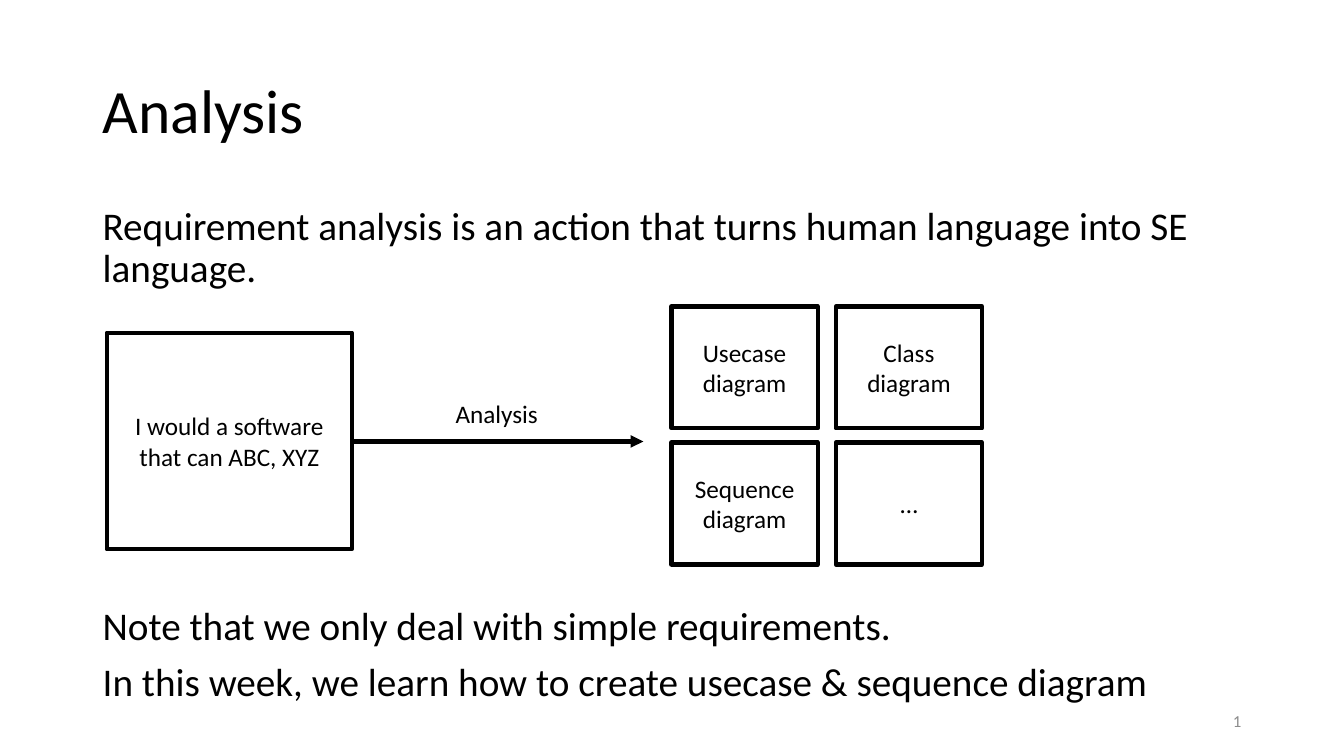
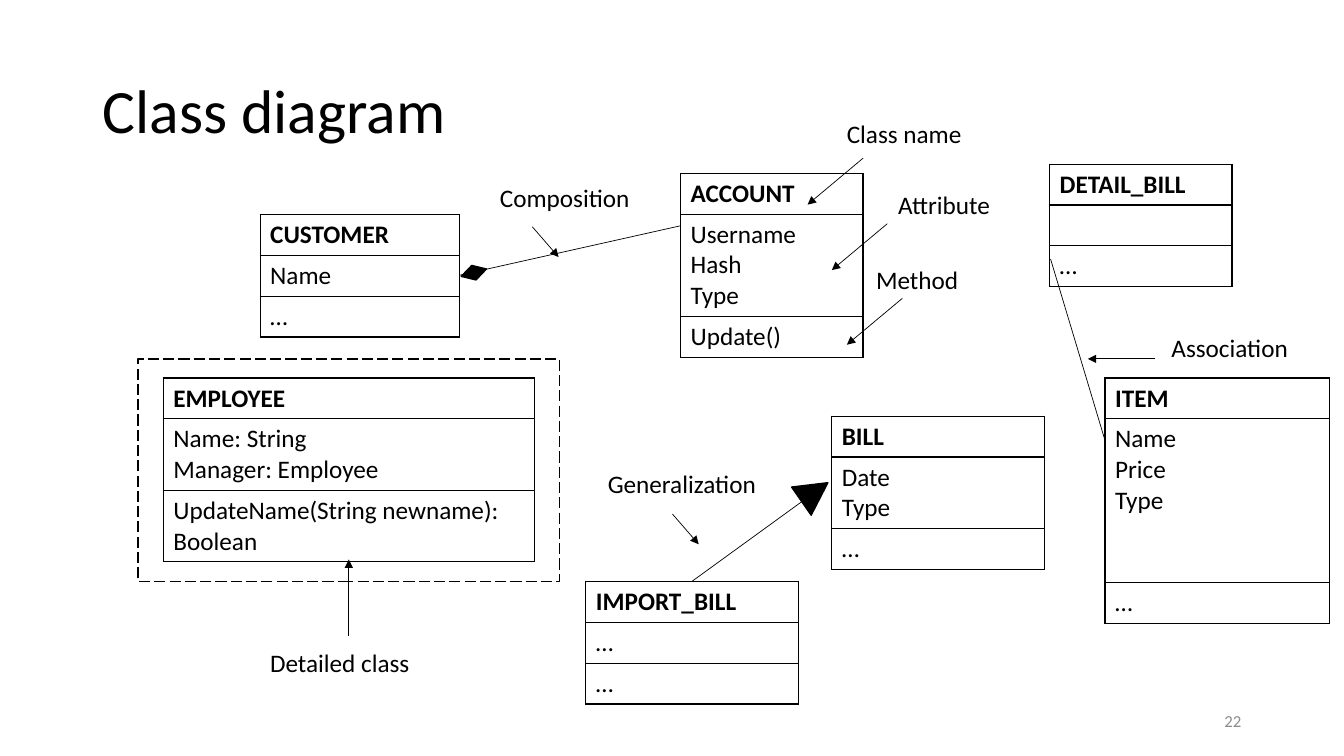
import pptx
import pptx.util
import pptx.dml.color
import pptx.enum.dml
import pptx.enum.shapes
import pptx.enum.text
import pptx.oxml.ns
from dataclasses import dataclass
from lxml import etree

Inches, Pt = pptx.util.Inches, pptx.util.Pt
qn = pptx.oxml.ns.qn
Shape = pptx.enum.shapes.MSO_SHAPE
Align = pptx.enum.text.PP_ALIGN
Anchor = pptx.enum.text.MSO_ANCHOR


@dataclass(frozen=True)
class Theme:
    font: str = "Calibri"
    ink: str = "000000"
    pale: str = "8C8C8C"
    title: int = 44
    body: int = 28
    label: int = 18
    foot: int = 12
    thick: float = 3
    edge: float = 1
    hair: float = 0.5
    tight: float = 0.9
    gap: int = 10


THEME = Theme()
WIDE, HIGH = 13.33, 7.5
MARGIN = 0.92
SPAN = WIDE - 2 * MARGIN
LINE, PAD = 0.305, 0.1  # height of a label line, cell padding

# Slide 1: texts as (top, height, lines)
BODY = [
    (2, 1.11, ["Requirement analysis is an action that turns human language into SE language."]),
    (5.97, 1.35, ["Note that we only deal with simple requirements.",
                  "In this week, we learn how to create usecase & sequence diagram"]),
]
WISH = ("I would a software that can ABC, XYZ", (1.06, 3.3, 2.43, 2.15))
STEP = ("Analysis", (4.42, 3.9, 1.87, 0.4))
FLOW = ((3.49, 4.38), (6.38, 4.38))
GRID = [["Usecase diagram", "Class diagram"], ["Sequence diagram", "…"]]
CELL = dict(left=6.66, top=3.04, wide=1.45, high=1.21, across=1.63, down=1.35)

# Slide 2: classes as (left, top, width, name, attributes, methods, line counts)
CLASSES = [
    (2.58, 2.13, 1.98, "CUSTOMER", ["Name"], ["…"], (1, 1, 1)),
    (1.62, 3.75, 3.68, "EMPLOYEE", ["Name: String", "Manager: Employee"],
     ["UpdateName(String newname): Boolean"], (1, 2, 2)),
    (6.75, 1.72, 1.81, "ACCOUNT", ["Username", "Hash", "Type"], ["Update()"], (1, 3, 1)),
    (8.25, 4.13, 2.11, "BILL", ["Date", "Type"], ["…"], (1, 2, 1)),
    (10.41, 1.63, 1.81, "DETAIL_BILL", [""], ["…"], (1, 1, 1)),
    (10.96, 3.75, 2.23, "ITEM", ["Name", "Price", "Type"], ["…"], (1, 5, 1)),
    (5.81, 5.77, 2.11, "IMPORT_BILL", ["…"], ["…"], (1, 1, 1)),
]
LINKS = [
    ((6.75, 2.24), (4.56, 2.73)),
    ((10.42, 2.57), (10.96, 4.37)),
    ((8.21, 4.79), (6.86, 5.77)),
]
# Notes as (text, left, top, width, arrow start, arrow reach)
LEFT, RIGHT = (-0.55, 0.46), (0.26, 0.3)
NOTES = [
    ("Class name", 8.3, 1.12, 1.49, (8.56, 1.57), LEFT),
    ("Attribute", 8.81, 1.83, 1.49, (8.8, 2.22), LEFT),
    ("Method", 8.59, 2.57, 1.31, (8.95, 2.96), LEFT),
    ("Composition", 4.86, 1.76, 1.49, (5.28, 2.25), RIGHT),
    ("Generalization", 5.93, 4.6, 1.81, (6.67, 5.1), RIGHT),
    ("Association", 11.52, 3.25, 1.49, (11.46, 3.56), (-0.67, 0)),
    ("Detailed class", 2.58, 6.37, 1.81, (3.46, 6.31), (0, -0.76)),
]
# Link ends as (preset, box, turn)
ENDS = [
    (Shape.ISOSCELES_TRIANGLE, (7.91, 4.72, 0.34, 0.32), 55.2),
    (Shape.FLOWCHART_DECISION, (4.57, 2.63, 0.26, 0.15), 343.7),
]
FRAME = (1.37, 3.56, 4.18, 2.21)


def rgb(tone):
    return pptx.dml.color.RGBColor.from_string(tone)


def inch(nums):
    return [Inches(num) for num in nums]


def write(frame, lines, size, tone=THEME.ink, bold=False, align=Align.LEFT,
          tight=None, gap=0):
    for pos, line in enumerate(lines):
        para = frame.add_paragraph() if pos else frame.paragraphs[0]
        para.text = line
        para.alignment = align
        if tight:
            para.line_spacing = tight
        if pos and gap:
            para.space_before = Pt(gap)
        font = para.font
        font.name, font.size, font.bold = THEME.font, Pt(size), bold
        font.color.rgb = rgb(tone)


def add_text(slide, box, lines, size, anchor=Anchor.TOP, **style):
    frame = slide.shapes.add_textbox(*inch(box)).text_frame
    frame.word_wrap = True
    frame.vertical_anchor = anchor
    write(frame, lines, size, **style)


def add_line(slide, start, end, width, arrow=False):
    line = slide.shapes.add_connector(
        pptx.enum.shapes.MSO_CONNECTOR.STRAIGHT, *inch(start + end))
    line.line.color.rgb = rgb(THEME.ink)
    line.line.width = Pt(width)
    props = line._element.spPr
    if arrow:
        etree.SubElement(props.find(qn("a:ln")), qn("a:tailEnd"), type="triangle")
    etree.SubElement(props, qn("a:effectLst"))


def add_box(slide, kind, box, width, solid=False):
    shape = slide.shapes.add_shape(kind, *inch(box))
    shape.shadow.inherit = False
    shape.line.color.rgb = rgb(THEME.ink)
    shape.line.width = Pt(width)
    if solid:
        shape.fill.solid()
        shape.fill.fore_color.rgb = rgb(THEME.ink)
    else:
        shape.fill.background()
    return shape


def add_card(slide, text, box):
    frame = add_box(slide, Shape.RECTANGLE, box, THEME.thick).text_frame
    frame.word_wrap = True
    frame.vertical_anchor = Anchor.MIDDLE
    write(frame, [text], THEME.label, align=Align.CENTER)


def rule(cell):
    """Draw all four borders of a cell."""
    props = cell._tc.get_or_add_tcPr()
    for pos, side in enumerate(("a:lnL", "a:lnR", "a:lnT", "a:lnB")):
        edge = etree.Element(qn(side), w=str(Pt(THEME.edge)))
        fill = etree.SubElement(edge, qn("a:solidFill"))
        etree.SubElement(fill, qn("a:srgbClr"), val=THEME.ink)
        props.insert(pos, edge)


def add_class(slide, left, top, wide, name, attrs, calls, counts):
    highs = [PAD + LINE * count for count in counts]
    table = slide.shapes.add_table(3, 1, *inch((left, top, wide, sum(highs)))).table
    table.first_row = table.horz_banding = False
    for row, (lines, high) in enumerate(zip(([name], attrs, calls), highs)):
        table.rows[row].height = Inches(high)
        cell = table.cell(row, 0)
        cell.fill.background()
        rule(cell)
        write(cell.text_frame, lines, THEME.label, bold=row == 0)


def add_slide(deck, title, number):
    slide = deck.slides.add_slide(deck.slide_layouts[5])
    head = slide.shapes.title
    head.left, head.top, head.width, head.height = inch((MARGIN, 0.4, SPAN, 1.45))
    head.text_frame.vertical_anchor = Anchor.MIDDLE
    write(head.text_frame, [title], THEME.title, tight=THEME.tight)
    add_text(slide, (WIDE - MARGIN - 3, 6.95, 3, 0.4), [number], THEME.foot,
             anchor=Anchor.MIDDLE, tone=THEME.pale, align=Align.RIGHT)
    return slide


def draw_steps(slide):
    for top, high, lines in BODY:
        add_text(slide, (MARGIN, top, SPAN, high), lines, THEME.body,
                 tight=THEME.tight, gap=THEME.gap)
    add_card(slide, *WISH)
    add_line(slide, *FLOW, THEME.thick, arrow=True)
    for row, names in enumerate(GRID):
        for col, name in enumerate(names):
            add_card(slide, name, (CELL["left"] + col * CELL["across"],
                                   CELL["top"] + row * CELL["down"],
                                   CELL["wide"], CELL["high"]))
    text, box = STEP
    add_text(slide, box, [text], THEME.label)


def draw_classes(slide):
    for item in CLASSES:
        add_class(slide, *item)
    for start, end in LINKS:
        add_line(slide, start, end, THEME.hair)
    for kind, box, turn in ENDS:
        add_box(slide, kind, box, THEME.edge, solid=True).rotation = turn
    frame = add_box(slide, Shape.RECTANGLE, FRAME, THEME.edge)
    frame.line.dash_style = pptx.enum.dml.MSO_LINE.LONG_DASH
    for text, left, top, wide, start, reach in NOTES:
        add_text(slide, (left, top, wide, 0.4), [text], THEME.label)
        end = (start[0] + reach[0], start[1] + reach[1])
        add_line(slide, start, end, THEME.hair, arrow=True)


def main():
    deck = pptx.Presentation()
    deck.slide_width, deck.slide_height = inch((WIDE, HIGH))
    draw_steps(add_slide(deck, "Analysis", "1"))
    draw_classes(add_slide(deck, "Class diagram", "22"))
    deck.save("out.pptx")


if __name__ == "__main__":
    main()
